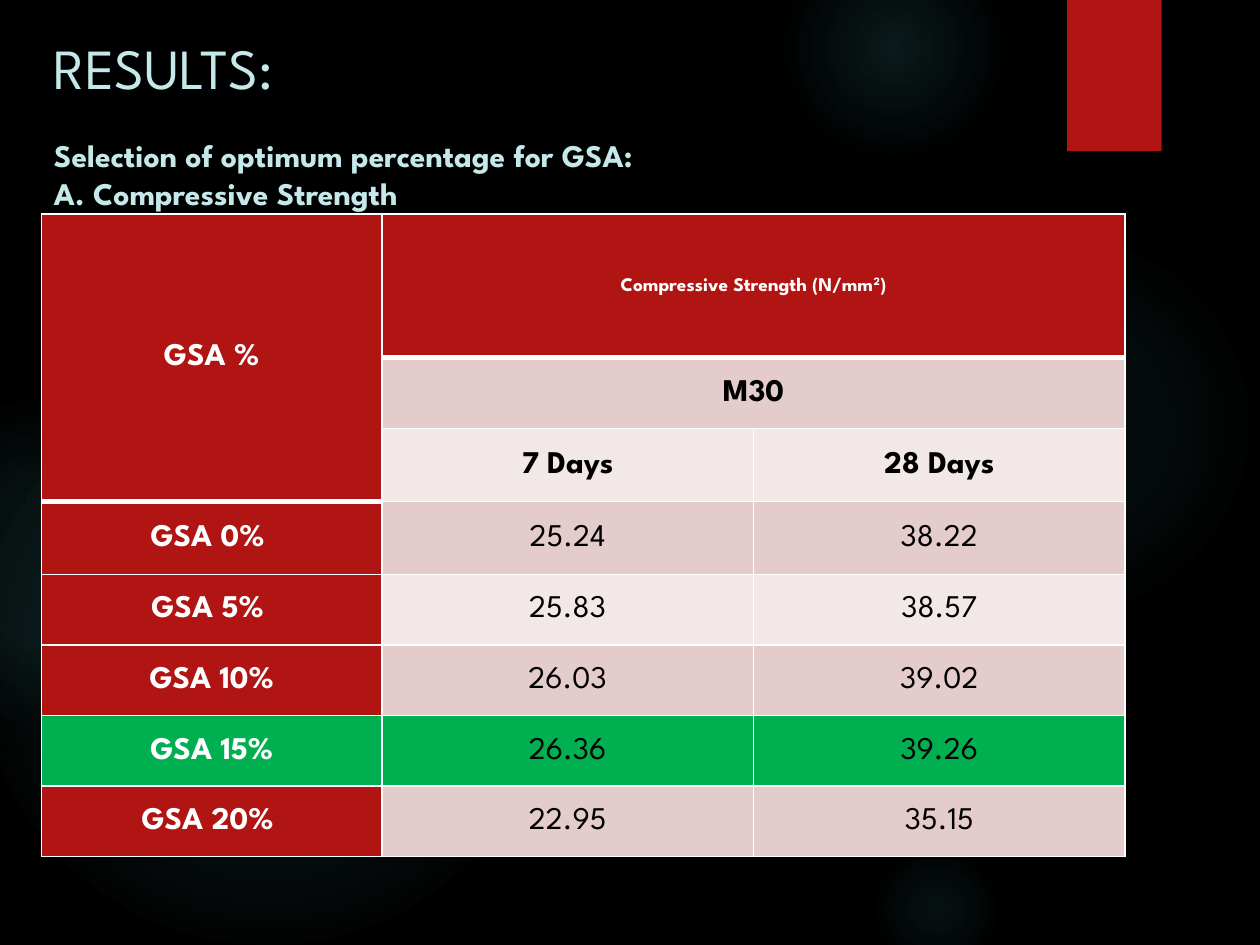
from dataclasses import dataclass

from lxml import etree
from pptx import Presentation
from pptx.dml.color import RGBColor
from pptx.enum import shapes, text
from pptx.oxml import ns, parse_xml
from pptx.util import Inches, Pt


@dataclass(frozen=True)
class Theme:
    font: str = "League Spartan"
    back: str = "000000"
    glow: str = "50B9C1"
    title: str = "C5E8EA"
    red: str = "B01513"
    green: str = "00B050"
    dark_band: str = "E4CCCC"
    light_band: str = "F2E8E7"
    white: str = "FFFFFF"
    black: str = "000000"
    title_size: float = 32.4
    body_size: float = 18
    small_size: float = 11


T = Theme()

# left, top, diameter, then (position %, opacity %) stops
GLOWS = [
    (6.89, 1.83, 3.08, [(0, 7), (36, 6), (69, 0)]),
    (6.22, -0.5, 1.75, [(0, 14), (36, 7), (73, 0)]),
    (6.89, 6.67, 1.08, [(0, 9), (36, 5), (66, 0)]),
    (-0.17, 2.92, 4.58, [(0, 11), (36, 10), (75, 0)]),
    (-0.92, 3.17, 2.58, [(0, 8), (36, 8), (72, 0)]),
]
RESULTS = [
    ("GSA 0% ", "25.24", "38.22"),
    ("GSA 5% ", "25.83", "38.57"),
    ("GSA 10%", "26.03", "39.02"),
    ("GSA 15%", "26.36", "39.26"),
    ("GSA 20% ", "22.95", "35.15"),
]
BEST = "GSA 15%"
COLS = [2.7, 2.95, 2.95]
ROWS = [1.14, 0.56, 0.58, 0.58, 0.56, 0.56, 0.56, 0.56]


def rgb(color):
    return RGBColor.from_string(color)


def add_run(p, content, size=T.body_size, color=T.black, bold=False, raised=0):
    r = p.add_run()
    r.text = content
    r.font.name, r.font.size, r.font.bold = T.font, Pt(size), bold
    r.font.color.rgb = rgb(color)
    if raised:
        r.font._element.set("baseline", str(raised * 1000))


def add_plain_shape(s, kind, box):
    sp = s.shapes.add_shape(kind, *map(Inches, box))
    sp.shadow.inherit = False
    sp.line.fill.background()
    return sp


def add_glow(s, box, stops):
    """Circle that fades out from its centre."""
    sp = add_plain_shape(s, shapes.MSO_SHAPE.OVAL, box)
    sp.fill.background()
    marks = "".join(
        f'<a:gs pos="{pos * 1000}"><a:srgbClr val="{T.glow}">'
        f'<a:alpha val="{alpha * 1000}"/></a:srgbClr></a:gs>'
        for pos, alpha in stops)
    grad = parse_xml(
        f'<a:gradFill {ns.nsdecls("a")}><a:gsLst>{marks}</a:gsLst>'
        '<a:path path="circle"><a:fillToRect l="50000" t="50000" r="50000" b="50000"/>'
        '</a:path></a:gradFill>')
    props = sp._element.spPr
    props.replace(props.find(ns.qn("a:noFill")), grad)


def add_backdrop(s):
    s.background.fill.solid()
    s.background.fill.fore_color.rgb = rgb(T.back)
    for left, top, size, stops in GLOWS:
        add_glow(s, (left, top, size, size), stops)
    tab = add_plain_shape(s, shapes.MSO_SHAPE.RECTANGLE, (8.47, 0, 0.75, 1.2))
    tab.fill.solid()
    tab.fill.fore_color.rgb = rgb(T.red)


def add_heading(s, box):
    tf = s.shapes.add_textbox(*map(Inches, box)).text_frame
    tf.word_wrap = True
    tf.margin_top = tf.margin_bottom = 0
    p = tf.paragraphs[0]
    p.space_after = Pt(20)
    add_run(p, "RESULTS:", size=T.title_size, color=T.title)
    for line in ("Selection of optimum percentage for GSA:", "A. Compressive Strength"):
        add_run(tf.add_paragraph(), line, color=T.title, bold=True)


def set_borders(cell, bottom=1):
    props = cell._tc.get_or_add_tcPr()
    widths = {"lnL": 1, "lnR": 1, "lnT": 1, "lnB": bottom}
    for i, (tag, width) in enumerate(widths.items()):
        ln = etree.Element(ns.qn(f"a:{tag}"), w=str(Pt(width)))
        fill = etree.SubElement(ln, ns.qn("a:solidFill"))
        etree.SubElement(fill, ns.qn("a:srgbClr"), val=T.white)
        props.insert(i, ln)


def fill_cell(cell, content, fill, **fmt):
    cell.fill.solid()
    cell.fill.fore_color.rgb = rgb(fill)
    cell.vertical_anchor = text.MSO_ANCHOR.MIDDLE
    cell.margin_left = cell.margin_right = cell.margin_top = Inches(0.01)
    cell.margin_bottom = 0
    p = cell.text_frame.paragraphs[0]
    p.alignment = text.PP_ALIGN.CENTER
    add_run(p, content, **fmt)
    return p


def add_strength_table(s, box):
    tbl = s.shapes.add_table(len(ROWS), len(COLS), *map(Inches, box)).table
    tbl.first_row = tbl.horz_banding = False
    for col, width in zip(tbl.columns, COLS):
        col.width = Inches(width)
    for row, height in zip(tbl.rows, ROWS):
        row.height = Inches(height)
    for r in range(len(ROWS)):
        for c in range(len(COLS)):
            heavy = r == 0 or (r == 2 and c == 0)
            set_borders(tbl.cell(r, c), bottom=3 if heavy else 1)
    set_header(tbl)
    for i, (name, *values) in enumerate(RESULTS):
        band = T.light_band if i % 2 else T.dark_band
        best = name == BEST
        fill_cell(tbl.cell(i + 3, 0), name, T.green if best else T.red,
                  color=T.white, bold=True)
        for c, value in enumerate(values, 1):
            fill_cell(tbl.cell(i + 3, c), value, T.green if best else band)


def set_header(tbl):
    tbl.cell(0, 0).merge(tbl.cell(2, 0))
    for r in (0, 1):
        tbl.cell(r, 1).merge(tbl.cell(r, 2))
    fill_cell(tbl.cell(0, 0), "GSA %", T.red, color=T.white, bold=True)
    small = dict(size=T.small_size, color=T.white, bold=True)
    p = fill_cell(tbl.cell(0, 1), "Compressive Strength (N/mm", T.red, **small)
    add_run(p, "2", raised=30, **small)
    add_run(p, ")", **small)
    fill_cell(tbl.cell(1, 1), "M30", T.dark_band, bold=True)
    for c, days in enumerate(("7 Days", "28 Days"), 1):
        fill_cell(tbl.cell(2, c), days, T.light_band, bold=True)


def main():
    prs = Presentation()
    prs.slide_width, prs.slide_height = Inches(10), Inches(7.5)
    s = prs.slides.add_slide(prs.slide_layouts[6])
    add_backdrop(s)
    add_heading(s, (0.33, 0.26, 7.05, 1.44))
    add_strength_table(s, (0.33, 1.7, sum(COLS), sum(ROWS)))
    prs.save("out.pptx")


if __name__ == "__main__":
    main()
